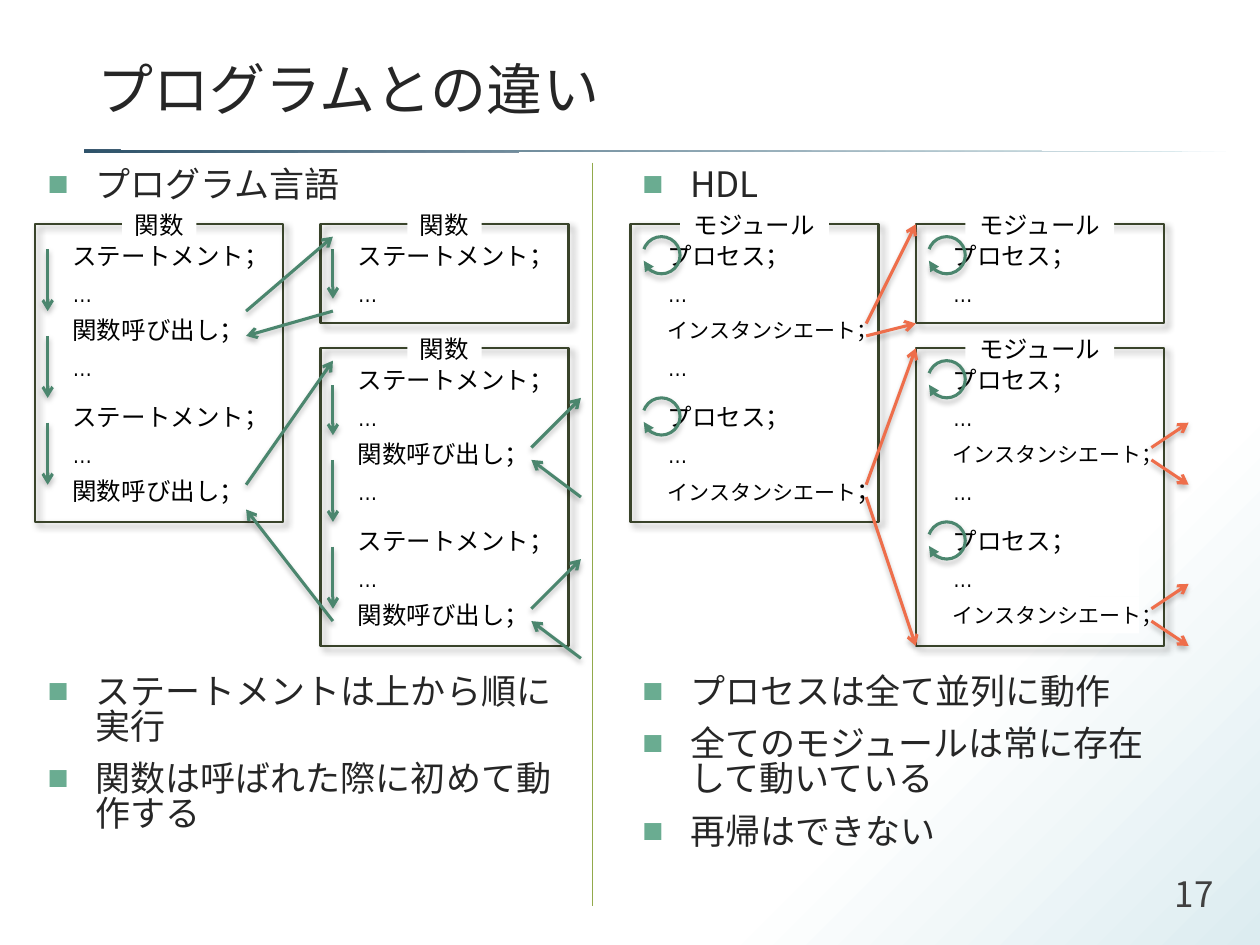
from pptx import Presentation
from pptx.dml.color import RGBColor
from pptx.enum.shapes import MSO_CONNECTOR, MSO_SHAPE
from pptx.enum.text import MSO_ANCHOR, PP_ALIGN
from pptx.oxml import parse_xml
from pptx.oxml.ns import nsdecls
from pptx.util import Inches, Pt

MIDDLE, TOP = MSO_ANCHOR.MIDDLE, MSO_ANCHOR.TOP
LEFT, CENTER, RIGHT = PP_ALIGN.LEFT, PP_ALIGN.CENTER, PP_ALIGN.RIGHT
RECT, ARC, WEDGE = MSO_SHAPE.RECTANGLE, MSO_SHAPE.ARC, MSO_SHAPE.ISOSCELES_TRIANGLE
STRAIGHT = MSO_CONNECTOR.STRAIGHT

SANS, NARROW = "Noto Sans CJK JP", "Arial Narrow"
INK, BLACK, WHITE, OLIVE = "262626", "000000", "FFFFFF", "39432A"
GREEN, ORANGE, MINT, PALE = "4B866E", "EE6E4B", "6AAC91", "DCECF0"

# The diagrams lie on a 2.5 mm grid counted from the first frame's corner.
UNIT = 2.5 / 25.4
GRID_X, GRID_Y = 0.28, 1.78
FRAME_SHADE = (40, 4, 3, 45)
LINE_SHADE = (25, 3, 2, 90)

ROWS = (1, 4, 7, 10, 14, 17, 20)
DOTS = [("…", 14)]
STEP, CALL = [("ステートメント；", 14)], [("関数呼び出し；", 14)]
PROC, INST = [("プロセス；", 14)], [("インスタンシエート；", 12)]
LAST = [("インスタンシエート", 12), ("；", 14)]

FLOWS = [
    (1, 2, 1, 7), (1, 9, 1, 14), (1, 16, 1, 21), (24, 2, 24, 6),
    (24, 13, 24, 17), (24, 19, 24, 24), (24, 26, 24, 31),
    (17, 7, 24, 1), (24, 7, 17, 9), (17, 21, 24, 11), (24, 32, 17, 23),
    (40, 18, 44, 14), (44, 22, 40, 19), (40, 31, 44, 27), (44, 35, 40, 32),
]
LINKS = [
    (67, 8, 71, 0), (67, 9, 71, 8), (67, 21, 71, 10), (67, 22, 71, 34),
    (90, 18, 93, 16), (90, 19, 93, 21), (90, 31, 93, 29), (90, 32, 93, 34),
]
LOOPS = [(49, 1), (49, 14), (72, 1), (72, 11), (72, 24)]


def rgb(code):
    return RGBColor.from_string(code)


def grid(x, y):
    return Inches(GRID_X + x * UNIT), Inches(GRID_Y + y * UNIT)


def blend(fill, start, end, first=0):
    """Fill with a 45 degree gradient that begins to change at first."""
    fill.gradient()
    fill.gradient_angle = 315
    for stop, code, pos in zip(fill.gradient_stops, (start, end), (first, 1)):
        stop.color.rgb = rgb(code)
        stop.position = pos


def shade(shape, look=None):
    """Set the shadow from alpha, blur, distance and angle, or clear it."""
    inner = ""
    if look:
        alpha, blur, dist, angle = look
        inner = (f'<a:outerShdw blurRad="{Pt(blur)}" dist="{Pt(dist)}" '
                 f'dir="{angle * 60000}" algn="tl" rotWithShape="0">'
                 f'<a:srgbClr val="{BLACK}"><a:alpha val="{alpha * 1000}"/>'
                 '</a:srgbClr></a:outerShdw>')
    shape._element.spPr.append(
        parse_xml(f'<a:effectLst {nsdecls("a")}>{inner}</a:effectLst>'))


def stroke(shape, color, width, tip=None):
    shape.line.color.rgb = rgb(color)
    shape.line.width = Pt(width)
    if tip:
        shape.line._get_or_add_ln().append(
            parse_xml(f'<a:tailEnd {nsdecls("a")} type="{tip}"/>'))


def write(para, runs, font, color, align=LEFT):
    para.alignment = align
    for text, size in runs:
        run = para.add_run()
        run.text = text
        run.font.size = Pt(size)
        run.font.name = font
        run.font.color.rgb = rgb(color)
        run._r.get_or_add_rPr().append(
            parse_xml(f'<a:ea {nsdecls("a")} typeface="{font}"/>'))


def plate(slide, x, y, w, h, runs, align=LEFT):
    """Add a white strip of text, placed in grid units."""
    shape = slide.shapes.add_shape(
        RECT, *grid(x, y), Inches(w * UNIT), Inches(h * UNIT))
    shape.fill.solid()
    shape.fill.fore_color.rgb = rgb(WHITE)
    shape.line.fill.background()
    shade(shape)
    frame = shape.text_frame
    frame.word_wrap = False
    frame.vertical_anchor = MIDDLE
    write(frame.paragraphs[0], runs, NARROW, BLACK, align)


def block(slide, x, y, name, rows):
    """Add a framed list of statements with its name on the top edge."""
    high = 24 if len(rows) > 2 else 8
    shape = slide.shapes.add_shape(
        RECT, *grid(x, y), Inches(20 * UNIT), Inches(high * UNIT))
    shape.fill.background()
    stroke(shape, OLIVE, 1.25)
    shade(shape, FRAME_SHADE)
    wide = 6 if name == "関数" else 12
    plate(slide, x + (20 - wide) / 2, y - 1, wide, 2, [(name, 14)], CENTER)
    for top, runs in zip(ROWS, rows):
        plate(slide, x + 2, y + top, 16, 3, runs)


def arrow(slide, x1, y1, x2, y2, color):
    line = slide.shapes.add_connector(STRAIGHT, *grid(x1, y1), *grid(x2, y2))
    stroke(line, color, 1.75, "arrow")
    shade(line, LINE_SHADE)


def loop(slide, x, y):
    side = Inches(3 * UNIT)
    arc = slide.shapes.add_shape(ARC, *grid(x, y), side, side)
    arc.adjustments[0], arc.adjustments[1] = 119.46, 97.74
    arc.fill.background()
    stroke(arc, GREEN, 1.75, "triangle")
    shade(arc, LINE_SHADE)


def box(slide, x, y, w, h, anchor):
    frame = slide.shapes.add_textbox(
        Inches(x), Inches(y), Inches(w), Inches(h)).text_frame
    frame.word_wrap = True
    frame.vertical_anchor = anchor
    return frame


def points(slide, x, y, w, h, items, anchor=TOP):
    frame = box(slide, x, y, w, h, anchor)
    for i, item in enumerate(items):
        para = frame.add_paragraph() if i else frame.paragraphs[0]
        write(para, [(item, 20)], SANS, INK)
        para.space_before = Pt(10)
        para.line_spacing = 0.83
        props = para._p.get_or_add_pPr()
        props.set("marL", str(Inches(0.38)))
        props.set("indent", str(Inches(-0.38)))
        for part in (f'buClr {nsdecls("a")}><a:srgbClr val="{MINT}"/></a:buClr>',
                     f'buFont {nsdecls("a")} typeface="Arial"/>',
                     f'buChar {nsdecls("a")} char="■"/>'):
            props.append(parse_xml("<a:" + part))


def heading(slide, text):
    wedge = slide.shapes.add_shape(
        WEDGE, Inches(5.19), Inches(-3.33), Inches(0.02), Inches(9.06))
    wedge.rotation = 90
    blend(wedge.fill, PALE, "2E536A")
    wedge.line.fill.background()
    shade(wedge)
    title = slide.shapes.title
    title.left, title.top = Inches(0.67), Inches(0.21)
    title.width, title.height = Inches(9.06), Inches(0.98)
    title.text_frame.vertical_anchor = MIDDLE
    write(title.text_frame.paragraphs[0], [(text, 32)], SANS, INK)


def main():
    deck = Presentation()
    deck.slide_width, deck.slide_height = Inches(10), Inches(7.5)
    slide = deck.slides.add_slide(deck.slide_layouts[5])
    blend(slide.background.fill, WHITE, PALE, 0.75)
    heading(slide, "プログラムとの違い")

    points(slide, 0.28, 1.29, 2.95, 0.39, ["プログラム言語"], MIDDLE)
    points(slide, 5, 1.29, 4.53, 0.39, ["HDL"], MIDDLE)
    points(slide, 0.28, 5.32, 4.43, 1.97, [
        "ステートメントは上から順に実行", "関数は呼ばれた際に初めて動作する"])
    points(slide, 5, 5.32, 4.33, 1.87, [
        "プロセスは全て並列に動作", "全てのモジュールは常に存在して動いている",
        "再帰はできない"])

    code = [STEP, DOTS, CALL, DOTS, STEP, DOTS, CALL]
    unit = [PROC, DOTS, INST, DOTS, PROC, DOTS, INST]
    for x, name, rows, first in ((0, "関数", code, code),
                                 (48, "モジュール", unit, unit[:-1] + [LAST])):
        block(slide, x, 0, name, first)
        block(slide, x + 23, 0, name, rows[:2])
        block(slide, x + 23, 10, name, rows)
    for color, ends in ((GREEN, FLOWS), (ORANGE, LINKS)):
        for end in ends:
            arrow(slide, *end, color)
    for spot in LOOPS:
        loop(slide, *spot)

    rule = slide.shapes.add_connector(
        STRAIGHT, Inches(4.7), Inches(1.29), Inches(4.7), Inches(7.19))
    stroke(rule, "92AA4C", 0.75)
    shade(rule)
    page = box(slide, 8.94, 6.9, 0.79, 0.39, MIDDLE)
    write(page.paragraphs[0], [("17", 20)], SANS, "404040", RIGHT)
    deck.save("out.pptx")


if __name__ == "__main__":
    main()
